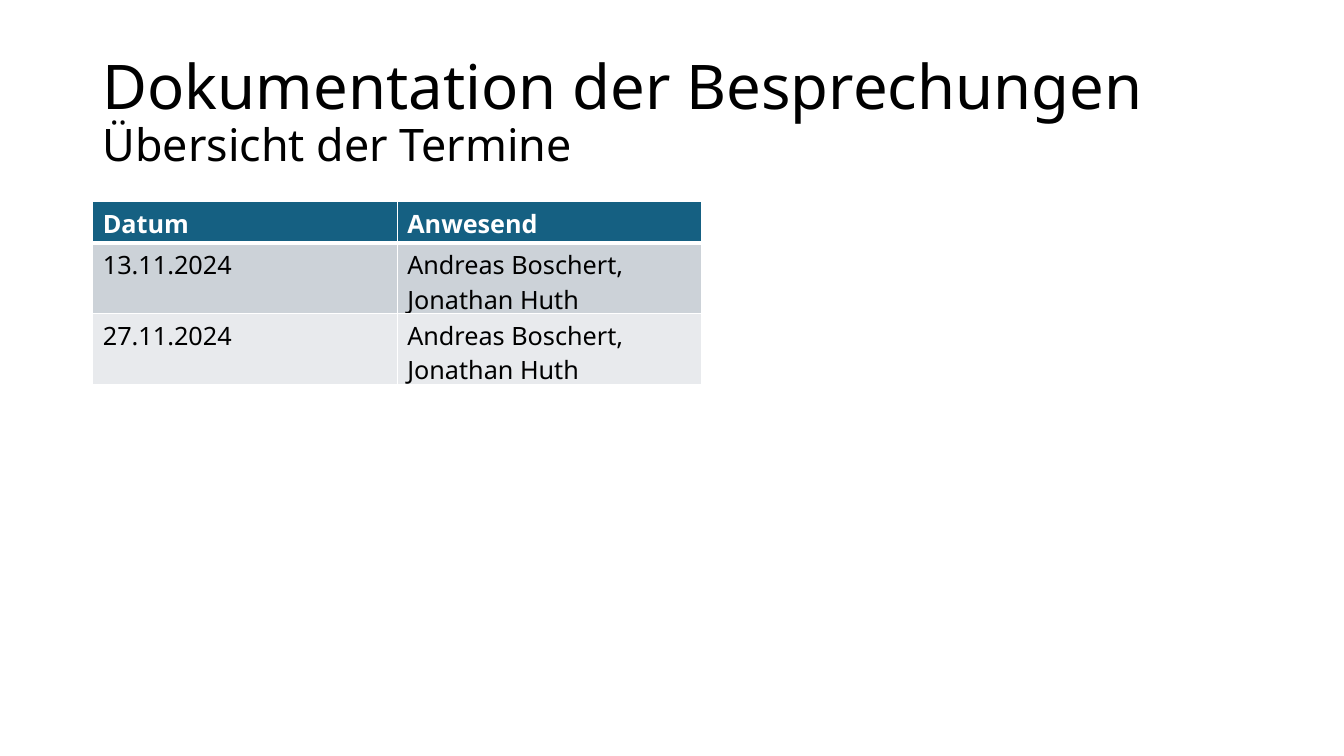
from lxml import etree
from pptx import Presentation
from pptx.dml.color import RGBColor
from pptx.enum.text import MSO_ANCHOR
from pptx.oxml.ns import qn
from pptx.util import Pt

PX = 9144  # EMU per px, 100 px to the inch
MIDDLE = MSO_ANCHOR.MIDDLE
BLACK = RGBColor(0x00, 0x00, 0x00)
WHITE = RGBColor(0xFF, 0xFF, 0xFF)
HEADER_BLUE = RGBColor(0x15, 0x60, 0x82)
BAND_DARK = RGBColor(0xCC, 0xD2, 0xD8)
BAND_LIGHT = RGBColor(0xE8, 0xEA, 0xED)


class SlideBuilder:
    font_name = "Noto Sans"
    thin, thick = Pt(1), Pt(3)

    def __init__(self, slide):
        self.slide = slide

    def style_font(self, font, size, color, bold=False):
        formats = {"name": self.font_name, "size": Pt(size), "bold": bold}
        for attribute, value in formats.items():
            setattr(font, attribute, value)
        font.color.rgb = color

    def heading(self, left, top, width, height, lines):
        """Add one paragraph whose lines are (text, size) pairs."""
        box = self.slide.shapes.add_textbox(
            left * PX, top * PX, width * PX, height * PX)
        frame = box.text_frame
        frame.word_wrap = True
        frame.vertical_anchor = MIDDLE
        paragraph = frame.paragraphs[0]
        paragraph.line_spacing = 0.9
        for index, (text, size) in enumerate(lines):
            if index:
                paragraph.add_line_break()
            run = paragraph.add_run()
            run.text = text
            self.style_font(run.font, size, BLACK)

    def cell_borders(self, cell, widths):
        """Draw white borders, given as widths by side in schema order."""
        properties = cell._tc.get_or_add_tcPr()
        for index, (side, width) in enumerate(widths.items()):
            line = etree.Element(qn(f"a:ln{side}"), w=str(width))
            fill = etree.SubElement(line, qn("a:solidFill"))
            etree.SubElement(fill, qn("a:srgbClr"), val=str(WHITE))
            properties.insert(index, line)

    def table(self, left, top, column_widths, row_heights, rows):
        table = self.slide.shapes.add_table(
            len(rows), len(column_widths), left * PX, top * PX,
            sum(column_widths) * PX, sum(row_heights) * PX).table
        for column, width in zip(table.columns, column_widths):
            column.width = width * PX
        for row, height in zip(table.rows, row_heights):
            row.height = height * PX
        for row_index, texts in enumerate(rows):
            is_header = row_index == 0
            band = BAND_DARK if row_index % 2 else BAND_LIGHT
            for column_index, text in enumerate(texts):
                cell = table.cell(row_index, column_index)
                cell.text = text
                cell.fill.solid()
                cell.fill.fore_color.rgb = HEADER_BLUE if is_header else band
                self.style_font(cell.text_frame.paragraphs[0].runs[0].font,
                                18, WHITE if is_header else BLACK, is_header)
                self.cell_borders(cell, {
                    "L": self.thin,
                    "R": self.thin,
                    "T": self.thick if row_index == 1 else self.thin,
                    "B": self.thick if is_header else self.thin,
                })


def main():
    presentation = Presentation()
    presentation.slide_width = 1333 * PX
    presentation.slide_height = 750 * PX
    blank_layout = presentation.slide_layouts[6]
    builder = SlideBuilder(presentation.slides.add_slide(blank_layout))

    # Title and subtitle
    builder.heading(92, 40, 1150, 145, [
        ("Dokumentation der Besprechungen", 44),
        ("Übersicht der Termine", 32),
    ])

    # Meeting dates and attendees
    attendees = "Andreas Boschert, Jonathan Huth"
    builder.table(92, 200, [302, 302], [41, 70, 70], [
        ("Datum", "Anwesend"),
        ("13.11.2024", attendees),
        ("27.11.2024", attendees),
    ])

    presentation.save("out.pptx")


if __name__ == "__main__":
    main()
